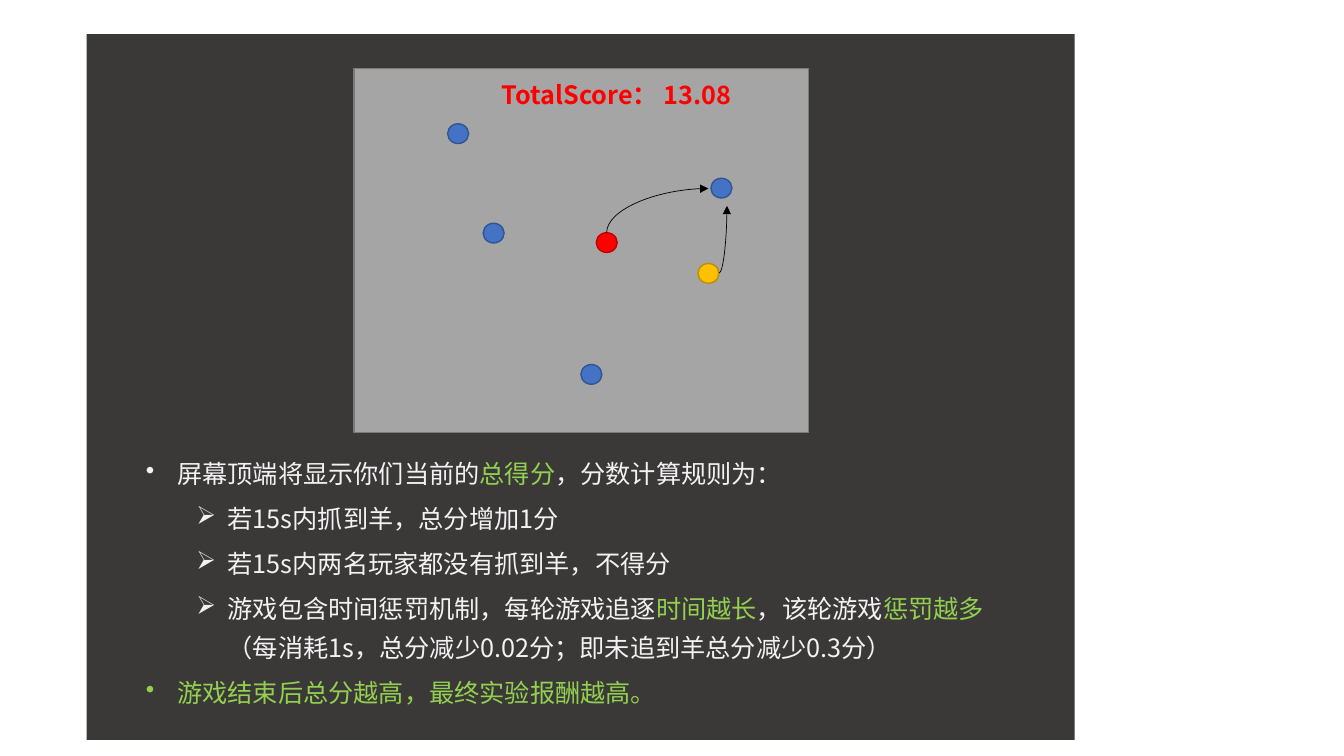
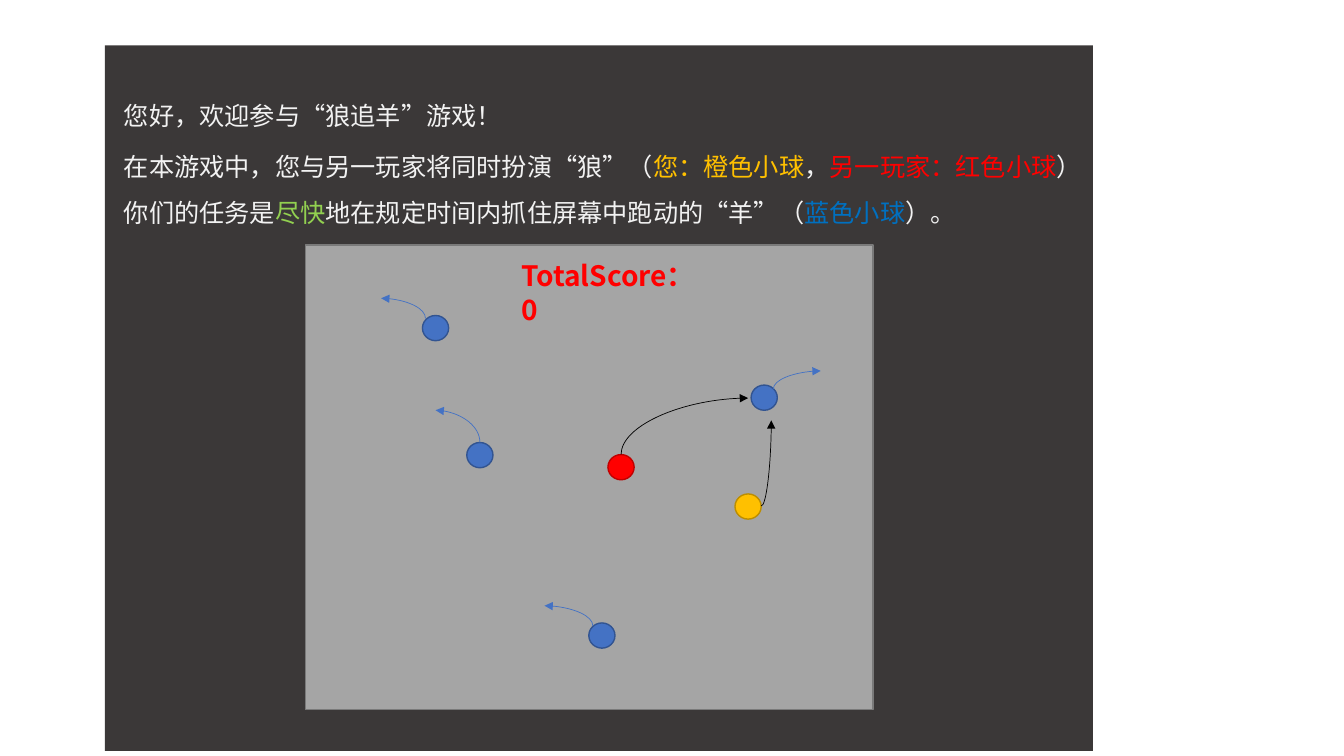
import pptx
import pptx.util
import pptx.dml.color
import pptx.enum.lang
import pptx.enum.shapes
import pptx.oxml.ns
import lxml.etree

Inches, Pt = pptx.util.Inches, pptx.util.Pt
qn = pptx.oxml.ns.qn
RGB = pptx.dml.color.RGBColor.from_string
KIND = pptx.enum.shapes.MSO_SHAPE
FONT = "Noto Sans CJK SC"
HUES = {
    "panel": "3B3838", "field": "A5A5A5", "edge": "7A7A7A",
    "sheep": "4472C4", "rim": "325491", "red": "FF0000", "wine": "C00000",
    "gold": "FFC000", "brown": "BD8E00", "black": "000000",
    "pale": "F2F2F2", "green": "92D050", "blue": "0070C0",
}

deck = pptx.Presentation()
deck.slide_width, deck.slide_height = Inches(13.33), Inches(7.5)


def draw(slide, kind, box, fill, line=None):
    shape = slide.shapes.add_shape(kind, *map(Inches, box))
    shape.shadow.inherit = False
    shape.fill.solid()
    shape.fill.fore_color.rgb = RGB(HUES[fill])
    if line:
        shape.line.color.rgb = RGB(HUES[line])
        shape.line.width = Pt(1)
    else:
        shape.line.fill.background()


def write(slide, box, paras, size=18, bold=False, space=None):
    frame = slide.shapes.add_textbox(*map(Inches, box)).text_frame
    frame.word_wrap = True
    for i, (mark, parts) in enumerate(paras):
        para = frame.paragraphs[0] if i == 0 else frame.add_paragraph()
        para.font.size, para.font.bold, para.font.name = Pt(size), bold, FONT
        props = para._p.get_or_add_pPr()
        base = props.find(qn("a:defRPr"))
        lxml.etree.SubElement(base, qn("a:ea")).set("typeface", FONT)
        if space:
            para.line_spacing = space
            para.space_before = para.space_after = Pt(2)
        if mark:
            para.level = 1 if mark == "➢" else 0
            props.set("marL", str(Inches(0.31 + 0.5 * para.level)))
            props.set("indent", str(Inches(-0.31)))
            dot = lxml.etree.Element(qn("a:buChar"))
            dot.set("char", mark)
            base.addprevious(dot)
        for text, hue in parts:
            run = para.add_run()
            run.text = text
            run.font.color.rgb = RGB(HUES[hue])
            run.font.language_id = pptx.enum.lang.MSO_LANGUAGE_ID.SIMPLIFIED_CHINESE


rules = [
    ("•", [("屏幕顶端将显示你们当前的", "pale"), ("总得分", "green"),
           ("，分数计算规则为：", "pale")]),
    ("➢", [("若15s内抓到羊，总分增加1分", "pale")]),
    ("➢", [("若15s内两名玩家都没有抓到羊，不得分", "pale")]),
    ("➢", [("游戏包含时间惩罚机制，每轮游戏追逐", "pale"), ("时间越长", "green"),
           ("，该轮游戏", "pale"), ("惩罚越多", "green"),
           ("（每消耗1s，总分减少0.02分；即未追到羊总分减少0.3分）", "pale")]),
    ("•", [("游戏结束后总分越高，最终实验报酬越高。", "green")]),
]
intro = [
    (None, [("您好，欢迎参与“狼追羊”游戏！", "pale")]),
    (None, [("在本游戏中，您与另一玩家将同时扮演“狼”（", "pale"),
            ("您：橙色小球", "gold"), ("，", "pale"),
            ("另一玩家：红色小球", "red"), ("）你们的任务是", "pale"),
            ("尽快", "green"), ("地在规定时间内抓住屏幕中跑动的“羊”（", "pale"),
            ("蓝色小球", "blue"), ("）。", "pale")]),
]

balls = [(x, y, "sheep", "rim") for x, y in
         [(1.16, 0.7), (4.42, 1.39), (1.6, 1.96), (2.81, 3.75)]]
balls += [(3, 2.08, "red", "wine"), (4.26, 2.47, "gold", "brown")]
chase = [(3.13, 2.08, 4.39, 1.52, "black", True),
         (4.52, 2.59, 4.62, 1.74, "black", False)]
flee = [(x, y, far, top, "sheep", True) for x, y, far, top in
        [(4.64, 1.43, 5.11, 1.25), (1.19, 0.73, 0.75, 0.53),
         (1.73, 1.96, 1.29, 1.64), (2.85, 3.78, 2.37, 3.58)]]

pages = [
    dict(panel=(0.86, 0.34), area=(3.51, 0.68, 4.51, 3.61), paths=chase,
         text=rules, box=(1.35, 4.41, 8.73, 2.63), space=1.3,
         score="13.08", spot=(4.88, 0.74, 2.87, 0.49), size=18),
    dict(panel=(1.04, 0.45), area=(3.03, 2.43, 5.63, 4.61), paths=chase + flee,
         text=intro, box=(1.13, 0.8, 9.8, 1.45), space=1.5,
         score="0", spot=(5.07, 2.52, 2.07, 0.44), size=20),
]

for page in pages:
    slide = deck.slides.add_slide(deck.slide_layouts[6])
    draw(slide, KIND.RECTANGLE, (*page["panel"], 9.8, 7), "panel")
    write(slide, page["box"], page["text"], space=page["space"])
    left, top, wide, high = page["area"]
    draw(slide, KIND.RECTANGLE, page["area"], "field", "edge")
    kx, ky = wide / 5.63, high / 4.61
    for x, y, fill, line in balls:
        spot = (left + x * kx, top + y * ky, 0.26 * kx, 0.25 * ky)
        draw(slide, KIND.OVAL, spot, fill, line)
    for x1, y1, x2, y2, hue, rise in page["paths"]:
        x1, x2 = left + x1 * kx, left + x2 * kx
        y1, y2 = top + y1 * ky, top + y2 * ky
        side = 1 if x2 > x1 else -1
        ends = (x1, y1, x2, y2)
        if rise:
            midx, midy = (x1 + x2) / 2, (y1 + y2) / 2
            dx, dy = side * abs(y2 - y1) / 2, abs(x2 - x1) / 2
            ends = (midx + dx, midy + dy, midx - dx, midy - dy)
        path = slide.shapes.add_connector(
            pptx.enum.shapes.MSO_CONNECTOR.CURVE, *map(Inches, ends))
        path.line.color.rgb = RGB(HUES[hue])
        path.line.width = Pt(0.5)
        props = path._element.spPr
        props.find(qn("a:prstGeom")).set("prst", "curvedConnector2")
        if rise:
            props.find(qn("a:xfrm")).set("rot", str((180 - 90 * side) * 60000))
        tail = lxml.etree.SubElement(props.find(qn("a:ln")), qn("a:tailEnd"))
        tail.set("type", "triangle")
        lxml.etree.SubElement(props, qn("a:effectLst"))
    write(slide, page["spot"], [(None, [("TotalScore： " + page["score"], "red")])],
          page["size"], True)

deck.save("out.pptx")
